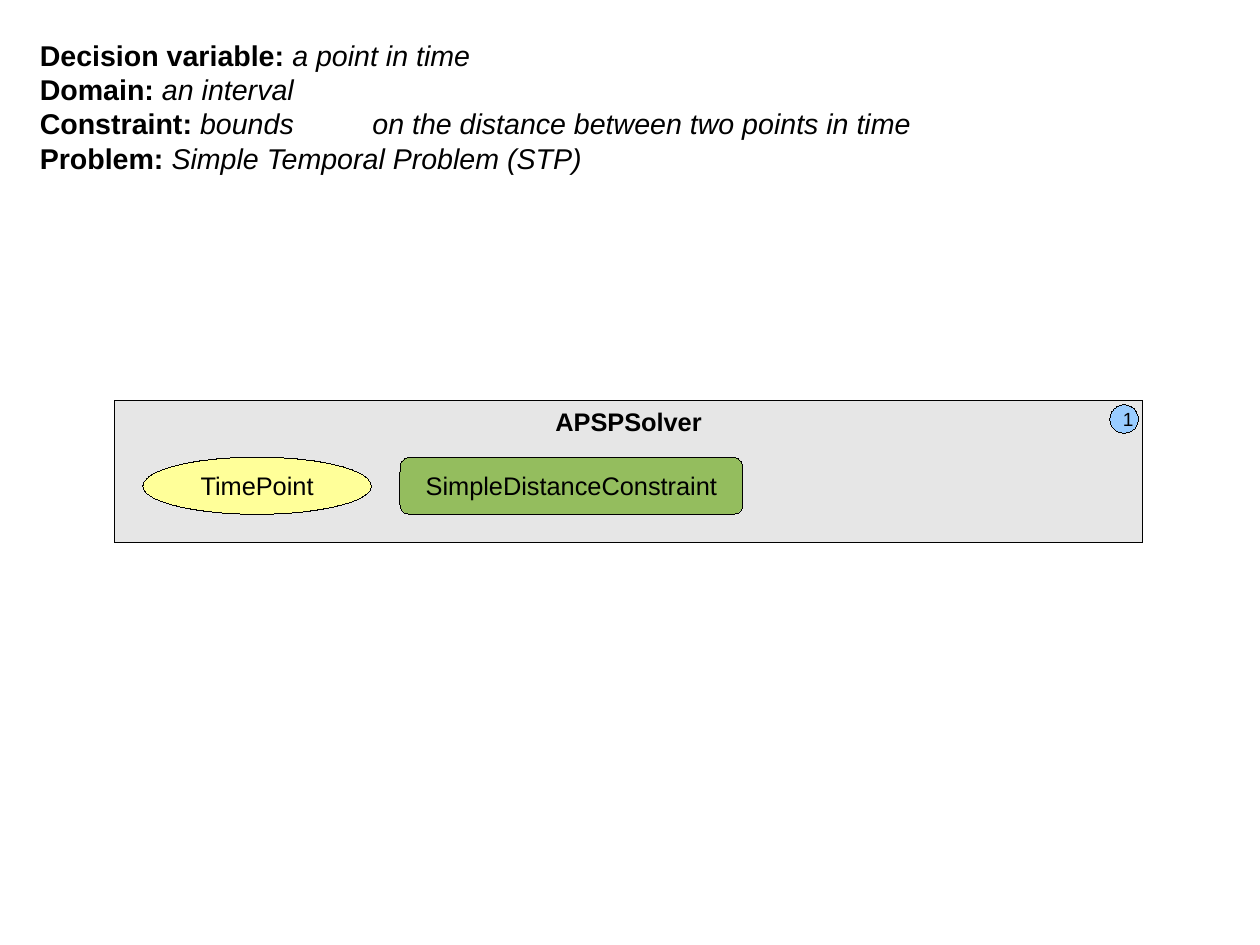
from lxml import etree
from pptx import Presentation
from pptx.dml.color import RGBColor
from pptx.enum.shapes import MSO_SHAPE
from pptx.enum.text import MSO_ANCHOR, PP_ALIGN
from pptx.oxml.ns import qn
from pptx.util import Cm, Pt

RECTANGLE, OVAL, ROUNDED = MSO_SHAPE.RECTANGLE, MSO_SHAPE.OVAL, MSO_SHAPE.ROUNDED_RECTANGLE
TOP, MIDDLE = MSO_ANCHOR.TOP, MSO_ANCHOR.MIDDLE
CENTER = PP_ALIGN.CENTER

PX = 9144  # 100 px to the inch
HAIRLINE = 1  # EMU; a width of 0 would fall back to the theme's line
THEME = {
    "font": "Arial",
    "ink": "000000",
    "solver": "E6E6E6",
    "variable": "FFFF99",
    "constraint": "94BD5E",
    "badge": "99CCFF",
    "definition_size": 18,
    "label_size": 16,
    "badge_size": 12,
}


def add_run(paragraph, text, size, bold=False, italic=False):
    run = paragraph.add_run()
    run.text = text
    run.font.name = THEME["font"]
    run.font.size = Pt(THEME[size])
    run.font.bold = bold
    run.font.italic = italic
    run.font.color.rgb = RGBColor.from_string(THEME["ink"])


def add_node(preset, bounds, fill, label, size="label_size", anchor=MIDDLE, bold=False):
    node = slide.shapes.add_shape(preset, *(length * PX for length in bounds))
    node.shadow.inherit = False
    node.fill.solid()
    node.fill.fore_color.rgb = RGBColor.from_string(THEME[fill])
    node.line.color.rgb = RGBColor.from_string(THEME["ink"])
    node.line.width = HAIRLINE
    node.text_frame.vertical_anchor = anchor
    paragraph = node.text_frame.paragraphs[0]
    paragraph.alignment = CENTER
    add_run(paragraph, label, size, bold)


deck = Presentation()
deck.slide_width, deck.slide_height = Cm(28), Cm(21)
slide = deck.slides.add_slide(deck.slide_layouts[6])

add_node(RECTANGLE, (100, 350, 900, 125), "solver", "APSPSolver", anchor=TOP, bold=True)
add_node(OVAL, (125, 400, 200, 50), "variable", "TimePoint")
add_node(ROUNDED, (350, 400, 300, 50), "constraint", "SimpleDistanceConstraint")

definitions = [
    ("Decision variable:", " a point in time"),
    ("Domain:", " an interval"),
    ("Constraint:", " bounds\ton the distance between two points in time"),
    ("Problem:", " Simple Temporal Problem (STP)"),
]
definition_box = slide.shapes.add_textbox(25 * PX, 28 * PX, 800 * PX, 122 * PX)
definition_text = definition_box.text_frame
definition_text.word_wrap = True
for row, (term, meaning) in enumerate(definitions):
    paragraph = definition_text.add_paragraph() if row else definition_text.paragraphs[0]
    if "\t" in meaning:
        tabs = etree.SubElement(paragraph._p.get_or_add_pPr(), qn("a:tabLst"))
        etree.SubElement(tabs, qn("a:tab"), pos=str(291 * PX), algn="l")
    add_run(paragraph, term, "definition_size", bold=True)
    add_run(paragraph, meaning, "definition_size", italic=True)

add_node(OVAL, (971, 354, 25, 25), "badge", "1", size="badge_size")

deck.save("out.pptx")
